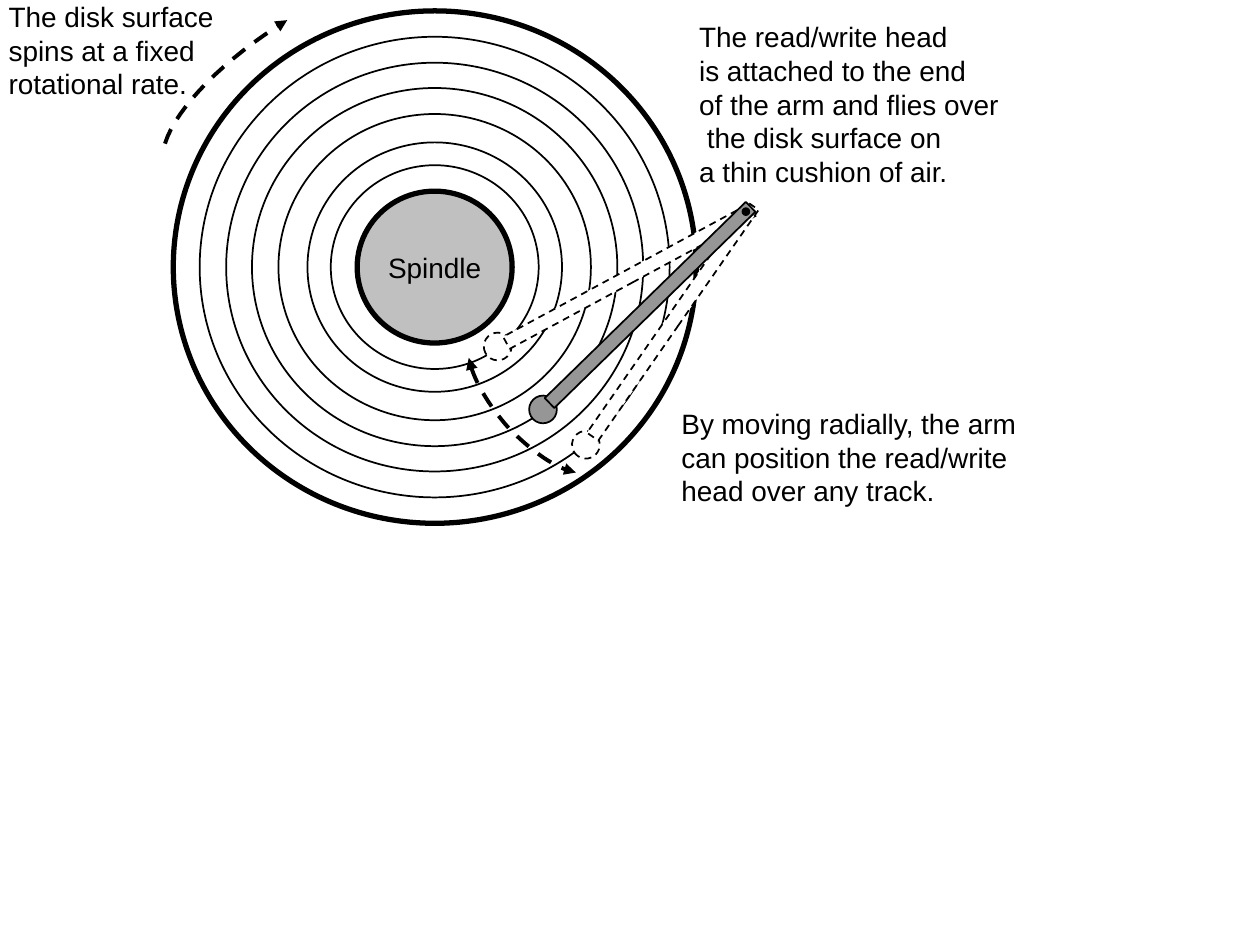
from dataclasses import dataclass

from lxml import etree
from pptx import Presentation
from pptx.dml.color import RGBColor
from pptx.enum.dml import MSO_LINE
from pptx.enum.shapes import MSO_SHAPE
from pptx.enum.text import MSO_ANCHOR, MSO_AUTO_SIZE, PP_ALIGN
from pptx.oxml.ns import qn
from pptx.shapes.base import BaseShape
from pptx.text.text import TextFrame
from pptx.util import Inches, Pt

Point = tuple[float, float]


@dataclass(frozen=True)
class Theme:
    font: str = "Arial"
    text_size: float = 16
    ink: str = "000000"
    paper: str = "FFFFFF"
    spindle: str = "C0C0C0"
    arm: str = "969696"
    thin: float = 1
    pivot: float = 2
    motion: float = 2.25
    thick: float = 3


THEME = Theme()


@dataclass(frozen=True)
class Arm:
    head: Point
    bar: Point
    angle: float
    fill: str = THEME.paper
    dashed: bool = True


@dataclass(frozen=True)
class Caption:
    left: float
    top: float
    width: float
    height: float
    lines: tuple[str, ...]
    wrap: bool = True


@dataclass(frozen=True)
class Motion:
    """A curved arrow made of cubic pieces: two controls and an end each."""
    start: Point
    pieces: tuple[tuple[Point, Point, Point], ...]
    ends: tuple[str, ...]


DISK_CENTER = (3.45, 2.12)
DISK_ASPECT = 0.98
DISK_WIDTH = 4.15
SPINDLE_WIDTH = 1.23
TRACK_WIDTHS = (3.73, 3.31, 2.9, 2.48, 2.02, 1.65)
HEAD_SIZE = (0.22, 0.22)
BAR_SIZE = (2.23, 0.11)
PIVOT_CENTER = (5.92, 1.68)
CURVE_STEPS = 16

ARMS = (
    Arm((3.95, 2.75), (5, 2.19), 331.6),
    Arm((4.65, 3.53), (5.34, 2.55), 304.8),
    Arm((4.31, 3.25), (5.16, 2.42), 315.7, THEME.arm, False),
)
CAPTIONS = (
    Caption(5.31, 3.18, 3.22, 0.9, (
        "By moving radially, the arm can position the read/write head over any track.",)),
    Caption(-0.03, -0.05, 1.9, 0.9, (
        "The disk surface", "spins at a fixed", "rotational rate.")),
    Caption(5.45, 0.11, 2.59, 1.43, (
        "The read/write head", "is attached to the end", "of the arm and flies over",
        " the disk surface on", "a thin cushion of air."), wrap=False),
)
SPIN = Motion((1.31, 1.14), (((1.4, 0.85), (1.79, 0.46), (2.28, 0.16)),), ("tailEnd",))
SEEK = Motion((3.72, 2.84), (((3.75, 3), (3.87, 3.21), (4.04, 3.4)),
                             ((4.22, 3.58), (4.41, 3.72), (4.57, 3.75))),
              ("headEnd", "tailEnd"))


def style_shape(shape: BaseShape, fill: str | None, weight: float, dashed: bool = False) -> None:
    shape.shadow.inherit = False
    if fill is None:
        shape.fill.background()
    else:
        shape.fill.solid()
        shape.fill.fore_color.rgb = RGBColor.from_string(fill)
    shape.line.color.rgb = RGBColor.from_string(THEME.ink)
    shape.line.width = Pt(weight)
    if dashed:
        shape.line.dash_style = MSO_LINE.DASH


def style_text(frame: TextFrame) -> None:
    for paragraph in frame.paragraphs:
        for run in paragraph.runs:
            run.font.name = THEME.font
            run.font.size = Pt(THEME.text_size)
            run.font.color.rgb = RGBColor.from_string(THEME.ink)


def add_centered(shapes, kind: MSO_SHAPE, center: Point, size: Point, fill: str | None,
                 weight: float, dashed: bool = False) -> BaseShape:
    (x, y), (width, height) = center, size
    shape = shapes.add_shape(kind, Inches(x - width / 2), Inches(y - height / 2),
                             Inches(width), Inches(height))
    style_shape(shape, fill, weight, dashed)
    return shape


def add_ring(shapes, width: float, fill: str | None, weight: float) -> BaseShape:
    return add_centered(shapes, MSO_SHAPE.OVAL, DISK_CENTER,
                        (width, width * DISK_ASPECT), fill, weight)


def add_arm(shapes, arm: Arm) -> None:
    parts = shapes.add_group_shape().shapes
    for kind, center, size in ((MSO_SHAPE.OVAL, arm.head, HEAD_SIZE),
                               (MSO_SHAPE.RECTANGLE, arm.bar, BAR_SIZE)):
        part = add_centered(parts, kind, center, size, arm.fill, THEME.thin, arm.dashed)
        part.rotation = arm.angle


def add_caption(shapes, caption: Caption) -> None:
    box = shapes.add_textbox(Inches(caption.left), Inches(caption.top),
                             Inches(caption.width), Inches(caption.height))
    frame = box.text_frame
    frame.word_wrap = caption.wrap
    frame.auto_size = MSO_AUTO_SIZE.SHAPE_TO_FIT_TEXT
    frame.text = "\n".join(caption.lines)
    style_text(frame)


def curve_points(motion: Motion) -> list[Point]:
    points, start = [], motion.start
    for first, second, end in motion.pieces:
        for step in range(1, CURVE_STEPS + 1):
            t = step / CURVE_STEPS
            u = 1 - t
            points.append(tuple(
                u**3 * a + 3 * u * u * t * b + 3 * u * t * t * c + t**3 * d
                for a, b, c, d in zip(start, first, second, end)))
        start = end
    return points


def add_motion(shapes, motion: Motion) -> None:
    builder = shapes.build_freeform(*(Inches(value) for value in motion.start))
    builder.add_line_segments([(Inches(x), Inches(y)) for x, y in curve_points(motion)],
                              close=False)
    arrow = builder.convert_to_shape()
    style_shape(arrow, None, THEME.motion, dashed=True)
    outline = arrow.element.spPr.find(qn("a:ln"))
    for end in motion.ends:
        etree.SubElement(outline, qn(f"a:{end}"), type="triangle")


def main() -> None:
    deck = Presentation()
    deck.slide_width, deck.slide_height = Inches(10), Inches(7.5)
    shapes = deck.slides.add_slide(deck.slide_layouts[6]).shapes

    # Disk with its tracks
    add_ring(shapes, DISK_WIDTH, None, THEME.thick)
    for width in TRACK_WIDTHS:
        add_ring(shapes, width, None, THEME.thin)

    # Spindle
    spindle = add_ring(shapes, SPINDLE_WIDTH, THEME.spindle, THEME.thick)
    label = spindle.text_frame
    label.text = "Spindle"
    label.word_wrap = False
    label.vertical_anchor = MSO_ANCHOR.MIDDLE
    label.paragraphs[0].alignment = PP_ALIGN.CENTER
    style_text(label)

    # Captions and motion arrows
    for caption in CAPTIONS:
        add_caption(shapes, caption)
    for motion in (SPIN, SEEK):
        add_motion(shapes, motion)

    # Arm positions around the pivot
    for arm in ARMS:
        add_arm(shapes, arm)
    add_centered(shapes, MSO_SHAPE.OVAL, PIVOT_CENTER, (0.04, 0.04), THEME.ink, THEME.pivot)

    deck.save("out.pptx")


if __name__ == "__main__":
    main()
